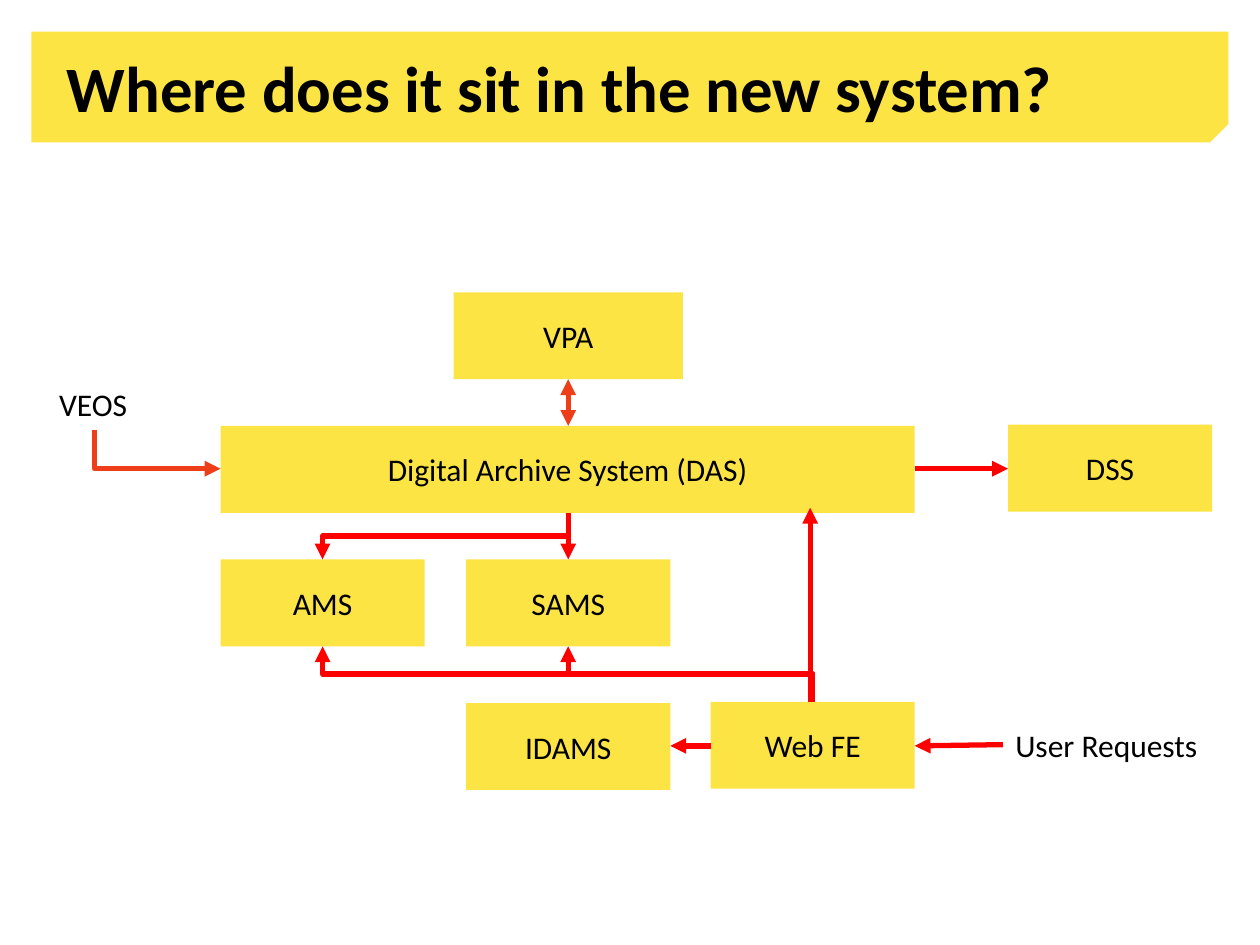
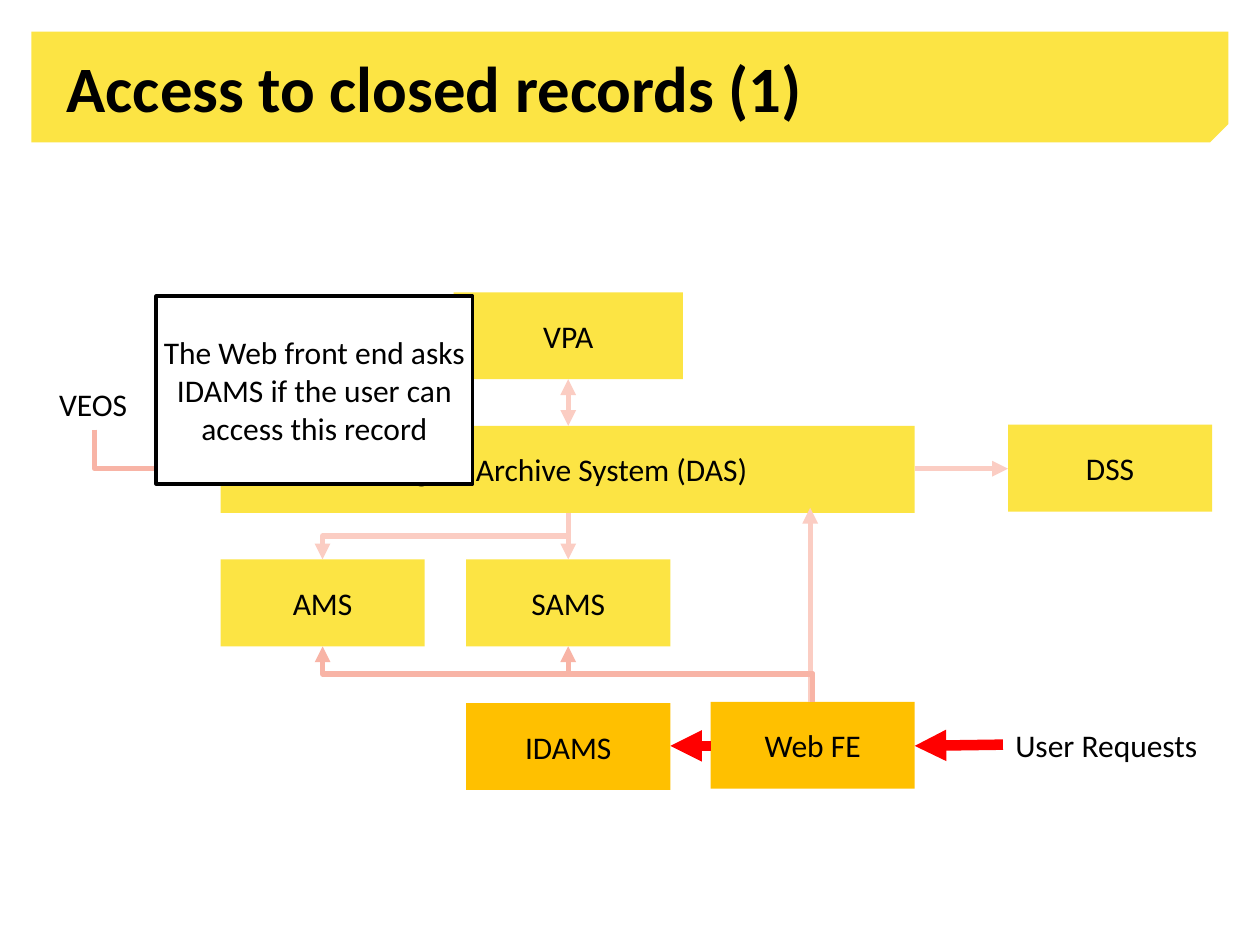
"""Two slides that show where the archive system sits and how closed records are reached."""
from lxml.etree import SubElement
from pptx import Presentation
from pptx.dml.color import RGBColor
from pptx.enum.shapes import MSO_CONNECTOR, MSO_SHAPE
from pptx.enum.text import MSO_ANCHOR, MSO_AUTO_SIZE, PP_ALIGN
from pptx.oxml.ns import qn
from pptx.util import Pt

SCALE = 9144
YELLOW, AMBER, BLACK, WHITE = "FCE444", "FFC000", "000000", "FFFFFF"
RED, ORANGE, PINK, PALE_PINK = "FF0000", "EE3E19", "F8B4A6", "FBCDC3"
BOX_W, BOX_H = 162, 69


def px(*lengths):
    """Turn px lengths, 100 to the inch, into EMU."""
    return [int(n * SCALE) for n in lengths]


def rgb(color):
    """Turn a hex string into a colour."""
    return RGBColor.from_string(color)


class Deck:
    """Holds the style and the current slide."""

    font = "Calibri"

    def __init__(self):
        """Start an empty 4:3 presentation."""
        self.prs = Presentation()
        self.prs.slide_width, self.prs.slide_height = px(1000, 750)
        self.slide = None

    def new_slide(self, title):
        """Add a slide with the title band."""
        self.slide = self.prs.slides.add_slide(self.prs.slide_layouts[6])
        band = self.shape(MSO_SHAPE.SNIP_1_RECTANGLE, 25, 25, 950, 88, YELLOW)
        band.rotation = 180
        band._element.spPr.find(qn("a:xfrm")).set("flipH", "1")
        s = self.slide.shapes.add_textbox(*px(53, 34, 894, 69))
        self.fill_text(s, title, 37, PP_ALIGN.LEFT, bold=True)

    def fill_text(self, s, text, size=18, align=PP_ALIGN.CENTER, bold=False):
        """Put middle-anchored text without margins in a shape."""
        tf = s.text_frame
        tf.word_wrap = True
        tf.vertical_anchor = MSO_ANCHOR.MIDDLE
        tf.margin_left = tf.margin_right = tf.margin_top = tf.margin_bottom = 0
        self.paragraph(tf, text, size, align, bold)

    def paragraph(self, tf, text, size=18, align=PP_ALIGN.LEFT, bold=False):
        """Fill the first paragraph of a text frame."""
        p = tf.paragraphs[0]
        p.text = text
        p.alignment = align
        p.font.name, p.font.size, p.font.bold = self.font, Pt(size), bold
        p.font.color.rgb = rgb(BLACK)

    def shape(self, kind, x, y, w, h, fill, line=None):
        """Add a flat preset shape."""
        s = self.slide.shapes.add_shape(kind, *px(x, y, w, h))
        s.shadow.inherit = False
        s.fill.solid()
        s.fill.fore_color.rgb = rgb(fill)
        if line:
            s.line.color.rgb = rgb(line)
            s.line.width = Pt(2)
        else:
            s.line.fill.background()
        return s

    def box(self, text, x, y, w=BOX_W, h=BOX_H, fill=YELLOW, line=None):
        """Add a rectangle with centred text."""
        s = self.shape(MSO_SHAPE.RECTANGLE, x, y, w, h, fill, line)
        self.fill_text(s, text)

    def label(self, text, x, y, w):
        """Add free text on one line."""
        s = self.slide.shapes.add_textbox(*px(x, y, w, 40))
        s.text_frame.word_wrap = False
        s.text_frame.auto_size = MSO_AUTO_SIZE.SHAPE_TO_FIT_TEXT
        self.paragraph(s.text_frame, text)

    def arrow(self, start, end, color, width=3, ends=("tail",),
              kind=MSO_CONNECTOR.STRAIGHT):
        """Add a connector with triangles at the given ends."""
        s = self.slide.shapes.add_connector(kind, *px(*start, *end))
        s.line.color.rgb = rgb(color)
        s.line.width = Pt(width)
        spPr = s._element.spPr
        ln = spPr.find(qn("a:ln"))
        SubElement(ln, qn("a:round"))
        for name in ends:
            SubElement(ln, qn(f"a:{name}End")).set("type", "triangle")
        SubElement(spPr, qn("a:effectLst"))
        return s

    def elbow(self, start, end, color, ends=("tail",), preset="bentConnector3"):
        """Add a bent connector that leaves its start downwards."""
        (x1, y1), (x2, y2) = start, end
        cx, cy = (x1 + x2) / 2, (y1 + y2) / 2
        dx, dy = abs(x2 - x1) / 2, (y2 - y1) / 2
        side = 1 if x2 > x1 else -1
        s = self.arrow((cx + side * dy, cy - dx), (cx - side * dy, cy + dx),
                       color, ends=ends, kind=MSO_CONNECTOR.ELBOW)
        spPr = s._element.spPr
        spPr.find(qn("a:xfrm")).set("rot", str((180 + side * 90) * 60000))
        spPr.find(qn("a:prstGeom")).set("prst", preset)

    def diagram(self, ingest, exchange, flow, lookup, active=YELLOW, width=3):
        """Draw the systems and the arrows between them."""
        ams, sams, web = 256, 451, 645
        self.box("VPA", 360, 232, 182)
        self.box("Digital Archive System (DAS)", 175, 338, 551)
        self.box("AMS", 175, 444)
        self.box("DSS", 800, 337)
        self.box("SAMS", 370, 444)
        self.box("Web FE", 564, 557, fill=active)
        self.box("IDAMS", 370, 558, fill=active)
        self.label("VEOS", 37, 301, 75)
        self.label("User Requests", 796, 571, 166)
        self.elbow((75, 341), (175, 372), ingest, preset="bentConnector2")
        self.arrow((sams, 301), (sams, 338), exchange, ends=("head", "tail"))
        self.elbow((sams, 407), (ams, 444), flow)
        self.arrow((sams, 407), (sams, 444), flow)
        self.arrow((643, 403), (643, 557), flow, ends=("head",))
        self.arrow((726, 372), (800, 372), flow)
        for x in (sams, ams):
            self.elbow((x, 513), (web, 557), lookup, ends=("head",))
        self.arrow((796, 591), (726, 592), RED, width)
        self.arrow((564, 592), (532, 592), RED, width, kind=MSO_CONNECTOR.ELBOW)


def main():
    """Build both slides and save them."""
    deck = Deck()
    deck.new_slide("Where does it sit in the new system?")
    deck.diagram(ORANGE, ORANGE, RED, RED)
    deck.new_slide("Access to closed records (1)")
    deck.diagram(PINK, PALE_PINK, PALE_PINK, PINK, AMBER, 6)
    deck.box("The Web front end asks IDAMS if the user can access this record",
             124, 235, 251, 149, WHITE, BLACK)
    deck.prs.save("out.pptx")


if __name__ == "__main__":
    main()
